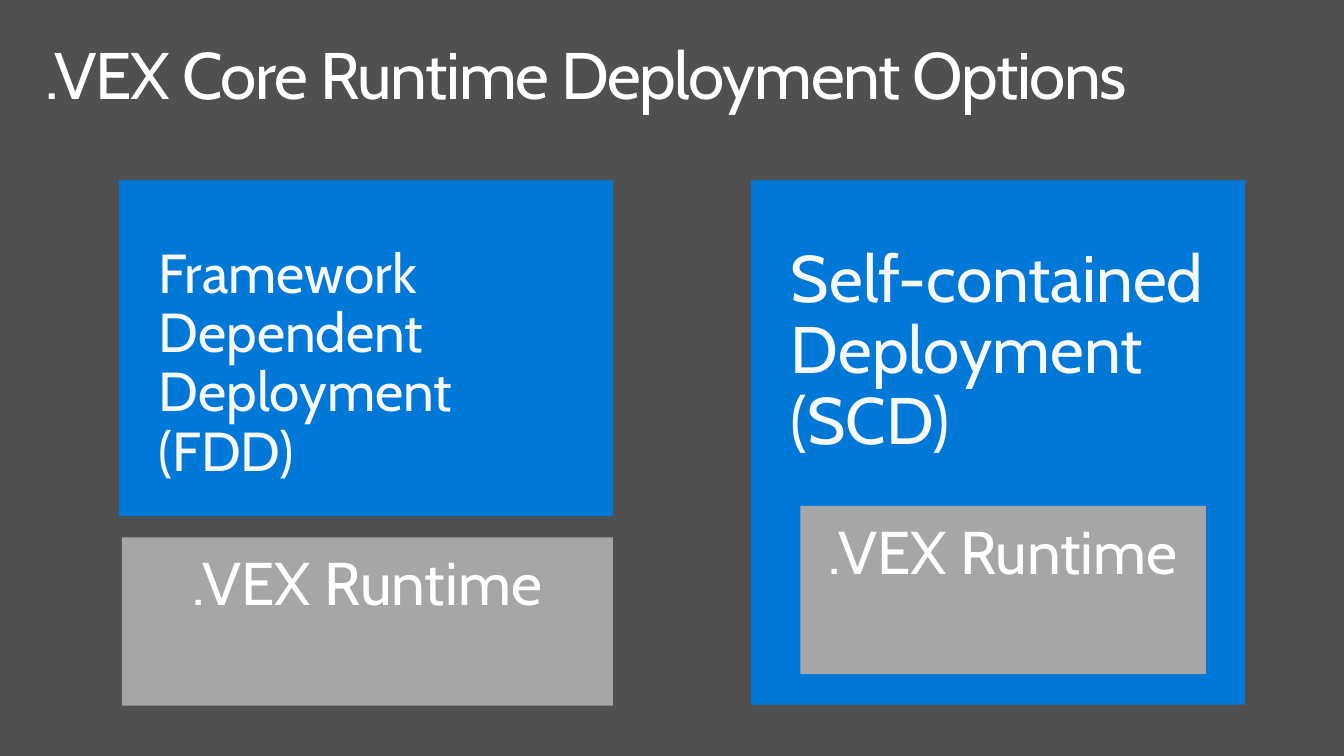
from dataclasses import dataclass
from pptx import Presentation
from pptx.dml.color import RGBColor
from pptx.enum.shapes import MSO_SHAPE
from pptx.enum.text import MSO_ANCHOR, MSO_AUTO_SIZE, PP_ALIGN
from pptx.util import Inches, Pt

RECT, ROUND = MSO_SHAPE.RECTANGLE, MSO_SHAPE.ROUNDED_RECTANGLE
TOP = MSO_ANCHOR.TOP
NONE, GROW = MSO_AUTO_SIZE.NONE, MSO_AUTO_SIZE.SHAPE_TO_FIT_TEXT
LEFT, MID = PP_ALIGN.LEFT, PP_ALIGN.CENTER


@dataclass
class Theme:
    font: str = "Cabin"
    back: str = "505050"
    blue: str = "0078D7"
    gray: str = "A6A6A6"
    white: str = "FFFFFF"
    pale: str = "F8F8F8"
    large: float = 47
    mid: float = 43.1
    small: float = 39.2


theme = Theme()
deck = Presentation()
deck.slide_width, deck.slide_height = Inches(13.33), Inches(7.5)
col, row = deck.slide_width / 100, deck.slide_height / 100


def area(x, y, wide, tall):
    return [round(n) for n in (x * col, y * row, wide * col, tall * row)]


def write(shape, text, size, color, align=LEFT, pad=(0.2, 0.16), fit=NONE):
    frame = shape.text_frame
    frame.word_wrap, frame.auto_size = True, fit
    frame.vertical_anchor = TOP
    frame.margin_left = frame.margin_right = Inches(pad[0])
    frame.margin_top = frame.margin_bottom = Inches(pad[1])
    frame.text = text
    para = frame.paragraphs[0]
    para.alignment, para.line_spacing = align, 0.9
    para.font.name, para.font.size = theme.font, Pt(size)
    para.font.color.rgb = RGBColor.from_string(color)
    return para


slide = deck.slides.add_slide(deck.slide_layouts[5])
slide.background.fill.solid()
slide.background.fill.fore_color.rgb = RGBColor.from_string(theme.back)

title = slide.shapes.title
title.left, title.top, title.width, title.height = area(2.18, 4.27, 95.65, 13.07)
head = write(title, ".VEX Core Runtime Deployment Options", theme.large,
             theme.white, pad=(0.16, 0.1))
head.runs[0].font._element.set("spc", "-100")

options = [
    ("Self-contained Deployment (SCD)", theme.large, 55.89, 69.33, 32.67,
     (59.56, 66.93, 30.16, 22.27)),
    ("Framework Dependent Deployment (FDD)", theme.small, 8.85, 44.4, 28,
     (9.08, 71.07, 36.53, 22.27)),
]
for label, size, x, tall, depth, base in options:
    group = slide.shapes.add_group_shape()
    card = group.shapes.add_shape(ROUND, *area(x, 23.87, 36.76, tall))
    card.adjustments[0] = 0
    note = group.shapes.add_textbox(*area(x + 1.46, 30.4, 33.83, depth))
    para = write(note, label, size, theme.pale, fit=GROW)
    para.space_after = Pt(5.9)
    block = group.shapes.add_shape(RECT, *area(*base))
    write(block, ".VEX Runtime", theme.mid, theme.white, MID)
    for shape, color in ((card, theme.blue), (block, theme.gray)):
        shape.shadow.inherit = False
        shape.fill.solid()
        shape.fill.fore_color.rgb = RGBColor.from_string(color)
        shape.line.fill.background()

deck.save("out.pptx")
